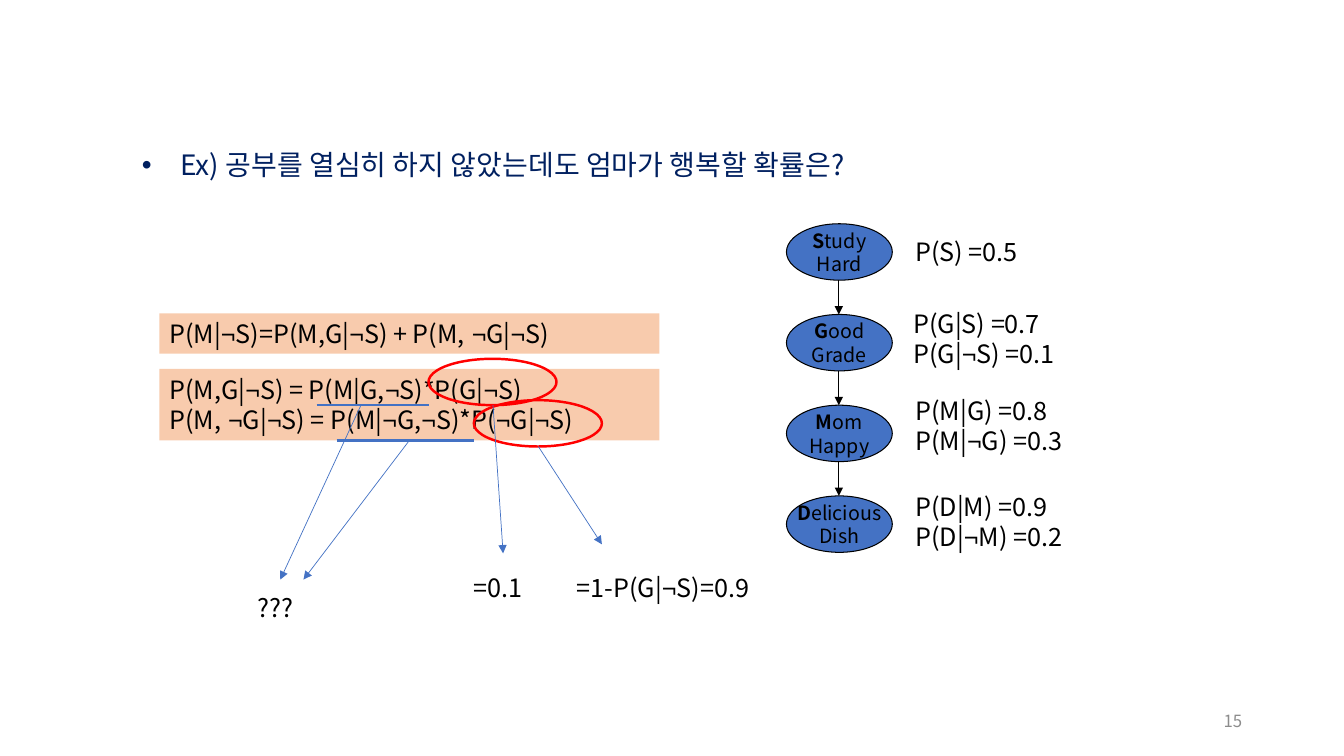
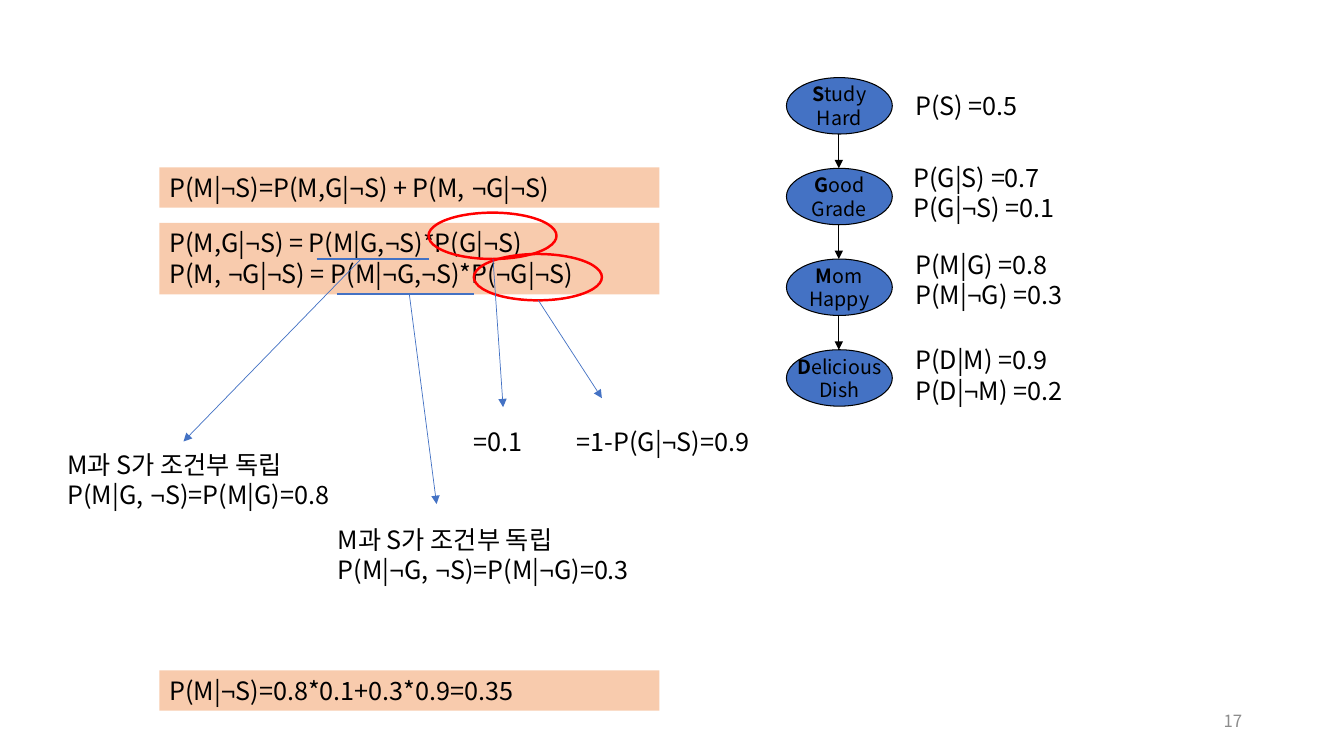
from pptx import Presentation
from pptx.dml.color import RGBColor
from pptx.enum.shapes import MSO_CONNECTOR, MSO_SHAPE
from pptx.enum.text import MSO_ANCHOR, MSO_AUTO_SIZE, PP_ALIGN
from pptx.oxml.ns import qn
from pptx.util import Pt
from lxml import etree

PX = 9144  # 100 px to the inch
OVAL, RECT, STRAIGHT = MSO_SHAPE.OVAL, MSO_SHAPE.RECTANGLE, MSO_CONNECTOR.STRAIGHT
TOP, MIDDLE = MSO_ANCHOR.TOP, MSO_ANCHOR.MIDDLE
LEFT, CENTER, RIGHT, JUSTIFY = PP_ALIGN.LEFT, PP_ALIGN.CENTER, PP_ALIGN.RIGHT, PP_ALIGN.JUSTIFY
GROW = MSO_AUTO_SIZE.SHAPE_TO_FIT_TEXT


class Theme:
    font, symbol_font = "Noto Sans CJK KR", "Arial"
    black, blue, navy = "000000", "4472C4", "002060"
    peach, red, grey = "F8CBAD", "FF0000", "8C8C8C"
    body, question, node, number = 18, 20, 14, 12
    thin, outline, underline, ring = 0.5, 0.75, 1.5, 1.75


# Content: places are for a chain that starts at CHAIN_TOP
CHAIN_TOP, CHAIN_PITCH = 222, 90
NODE_X, NODE_W, NODE_H = 780, 105, 56
NODES = [  # text lines, then label place and lines
    (["Study", "Hard"], (898, 230, 133, 40), ["P(S) =0.5"]),
    (["Good", "Grade"], (896, 301, 183, 71), ["P(G|S) =0.7", "P(G|¬S) =0.1"]),
    (["Mom", "Happy"], (898, 387, 188, 71), ["P(M|G) =0.8", "P(M|¬G) =0.3"]),
    (["Delicious", "Dish"], (898, 482, 188, 71), ["P(D|M) =0.9", "P(D|¬M) =0.2"]),
]
FORMULAS = [
    ((158, 311, 496, 40), ["P(M|¬S)=P(M,G|¬S) + P(M, ¬G|¬S)"]),
    ((158, 366, 496, 71), ["P(M,G|¬S) = P(M|G,¬S)*P(G|¬S)",
                           "P(M, ¬G|¬S) = P(M|¬G,¬S)*P(¬G|¬S)"]),
]
RINGS = [(425, 356, 127, 46), (470, 397, 127, 46)]
UNDERLINES = [(314, 402, 425, 402), (334, 437, 470, 437)]
VALUE_ARROWS = [(534, 443, 597, 540), (489, 402, 499, 549)]
VALUES = [((460, 563, 83, 40), ["=0.1"]), ((562, 563, 252, 40), ["=1-P(G|¬S)=0.9"])]
TERM_STARTS = [(358, 402), (406, 437)]
NUMBER_BOX = (942, 695, 300, 40)

# Each slide: upward shift of the shared parts, then its own parts in slide px
SLIDES = [
    {"number": "15", "shift": 0,
     "question": ((131, 125, 1055, 54), ["Ex) 공부를 열심히 하지 않았는데도 엄마가 행복할 확률은?"]),
     "term_ends": [(278, 575), (301, 575)],
     "notes": [((246, 583, 88, 40), ["???"])]},
    {"number": "17", "shift": 145,
     "term_ends": [(182, 438), (433, 500)],
     "notes": [((57, 441, 290, 71), ["M과 S가 조건부 독립", "P(M|G, ¬S)=P(M|G)=0.8"]),
               ((325, 515, 362, 71), ["M과 S가 조건부 독립", "P(M|¬G, ¬S)=P(M|¬G)=0.3"])],
     "result": ((158, 665, 496, 40), ["P(M|¬S)=0.8*0.1+0.3*0.9=0.35"])},
]


def emu(*lengths):
    return [n * PX for n in lengths]


def rgb(color):
    return RGBColor.from_string(color)


def up(box, shift):
    x, y, w, h = box
    return x, y - shift, w, h


def split_symbols(text):
    """Yield (text, font) pairs, with each ¬ and the space before it apart."""
    *heads, last = text.split("¬")
    for head in heads:
        stem = head.rstrip()
        yield stem, Theme.font
        yield head[len(stem):] + "¬", Theme.symbol_font
    yield last, Theme.font


def add_run(p, text, font, size, color, bold=False):
    r = p.add_run()
    r.text = text
    for name, value in {"name": font, "size": Pt(size), "bold": bold}.items():
        setattr(r.font, name, value)
    r.font.color.rgb = rgb(color)
    latin = r.font._element.find(qn("a:latin"))
    east = etree.Element(qn("a:ea"), typeface=Theme.font)
    latin.addnext(east)


def write(sp, lines, size=Theme.body, color=Theme.black, align=LEFT,
          bold_initial=False, **frame):
    tf = sp.text_frame
    for name, value in {"word_wrap": True, "vertical_anchor": TOP, **frame}.items():
        setattr(tf, name, value)
    for i, line in enumerate(lines):
        p = tf.paragraphs[0] if i == 0 else tf.add_paragraph()
        p.alignment = align
        if bold_initial and i == 0:
            add_run(p, line[0], Theme.font, size, color, True)
            line = line[1:]
        for text, font in split_symbols(line):
            if text:
                add_run(p, text, font, size, color)
    return tf


def add_text(shapes, box, lines, **fmt):
    return write(shapes.add_textbox(*emu(*box)), lines, **fmt)


def add_shape(shapes, kind, box, fill=None, line=None, width=0):
    sp = shapes.add_shape(kind, *emu(*box))
    sp.shadow.inherit = False
    for part, color in ((sp.fill, fill), (sp.line.fill, line)):
        if color:
            part.solid()
            part.fore_color.rgb = rgb(color)
        else:
            part.background()
    if line:
        sp.line.width = Pt(width)
    return sp


def add_line(shapes, ends, color, width, arrow=False):
    cx = shapes.add_connector(STRAIGHT, *emu(*ends))
    cx.line.color.rgb = rgb(color)
    cx.line.width = Pt(width)
    if arrow:
        etree.SubElement(cx.line._get_or_add_ln(), qn("a:tailEnd"), type="triangle")
    etree.SubElement(cx._element.spPr, qn("a:effectLst"))


def add_formula(shapes, box, lines):
    write(add_shape(shapes, RECT, box, Theme.peach), lines, auto_size=GROW)


def add_question(shapes, box, lines):
    tf = add_text(shapes, box, lines, size=Theme.question, color=Theme.navy,
                  align=JUSTIFY, auto_size=GROW)
    p = tf.paragraphs[0]
    p.line_spacing = 1.5
    pPr = p._p.get_or_add_pPr()
    indent = 38 * PX
    pPr.set("marL", str(indent))
    pPr.set("indent", str(-indent))
    etree.SubElement(pPr, qn("a:buFont"), typeface=Theme.symbol_font)
    etree.SubElement(pPr, qn("a:buChar"), char="•")


def add_chain(slide, shift):
    group = slide.shapes.add_group_shape().shapes
    middle = NODE_X + NODE_W // 2
    for i, (name, label_box, label) in enumerate(NODES):
        top = CHAIN_TOP - shift + i * CHAIN_PITCH
        sp = add_shape(group, OVAL, (NODE_X, top, NODE_W, NODE_H),
                       Theme.blue, Theme.black, Theme.outline)
        write(sp, name, size=Theme.node, align=CENTER, bold_initial=True,
              word_wrap=False, vertical_anchor=MIDDLE)
        if i:
            above = top - CHAIN_PITCH + NODE_H
            add_line(group, (middle, above, middle, top), Theme.black, Theme.outline, True)
        add_text(slide.shapes, up(label_box, shift), label, word_wrap=False, auto_size=GROW)


def add_derivation(shapes, shift, term_ends):
    for box, lines in FORMULAS:
        add_formula(shapes, up(box, shift), lines)
    for box in RINGS:
        add_shape(shapes, OVAL, up(box, shift), line=Theme.red, width=Theme.ring)
    for lines, width, arrow in ((UNDERLINES, Theme.underline, False),
                                (VALUE_ARROWS, Theme.thin, True)):
        for x1, y1, x2, y2 in lines:
            add_line(shapes, (x1, y1 - shift, x2, y2 - shift), Theme.blue, width, arrow)
    for (x, y), end in zip(TERM_STARTS, term_ends):
        add_line(shapes, (x, y - shift, *end), Theme.blue, Theme.thin, True)
    for box, lines in VALUES:
        add_text(shapes, up(box, shift), lines, auto_size=GROW)


def main():
    prs = Presentation()
    prs.slide_width, prs.slide_height = emu(1333, 750)
    for content in SLIDES:
        slide = prs.slides.add_slide(prs.slide_layouts[6])
        shapes, shift = slide.shapes, content["shift"]
        add_chain(slide, shift)
        add_derivation(shapes, shift, content["term_ends"])
        if "question" in content:
            add_question(shapes, *content["question"])
        for box, lines in content["notes"]:
            add_text(shapes, box, lines, auto_size=GROW)
        if "result" in content:
            add_formula(shapes, *content["result"])
        add_text(shapes, NUMBER_BOX, [content["number"]], size=Theme.number,
                 color=Theme.grey, align=RIGHT, vertical_anchor=MIDDLE)
    prs.save("out.pptx")


if __name__ == "__main__":
    main()
